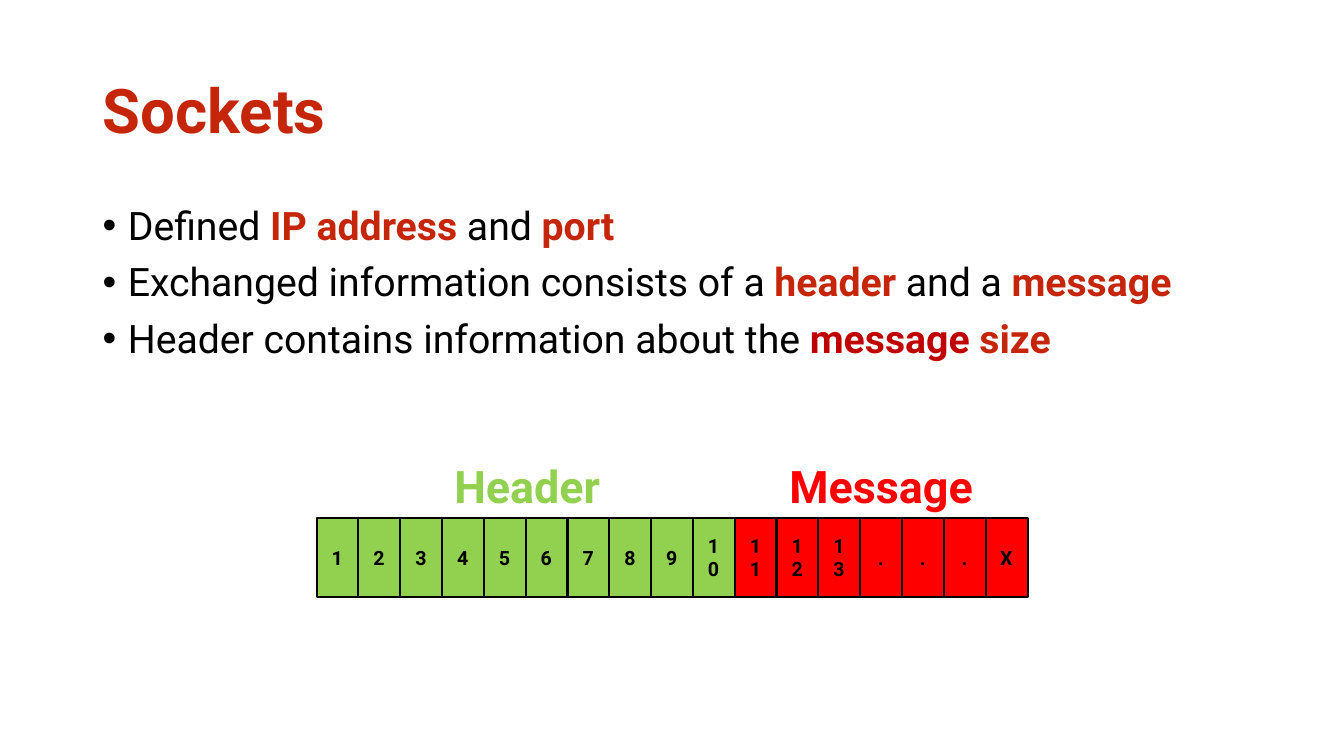
from dataclasses import dataclass
from typing import Any

from lxml.etree import SubElement
from pptx import Presentation
from pptx.dml.color import RGBColor
from pptx.enum.shapes import MSO_SHAPE
from pptx.enum.text import MSO_ANCHOR, MSO_AUTO_SIZE, PP_ALIGN
from pptx.oxml.ns import qn
from pptx.util import Inches, Pt

FONT = "Roboto"
BLACK, ACCENT, DARK_RED = "000000", "C52609", "C00000"
GREEN, RED = "92D050", "FF0000"
CELL_LEFT, CELL_TOP, CELL_W, CELL_H = 3.14, 5.14, 0.42, 0.78
CELL_PITCH = 0.4147


@dataclass
class Span:
    text: str
    color: str = BLACK
    bold: bool = False


@dataclass
class Section:
    name: str
    color: str
    cells: list[str]
    left: float
    width: float


BULLETS = [
    [Span("Defined "), Span("IP address ", ACCENT, True),
     Span("and "), Span("port", ACCENT, True)],
    [Span("Exchanged information consists of a "), Span("header ", ACCENT, True),
     Span("and a "), Span("message", ACCENT, True)],
    [Span("Header contains information about the "),
     Span("message ", DARK_RED, True), Span("size", ACCENT, True)],
]
SECTIONS = [
    Section("Header", GREEN, [str(n) for n in range(1, 11)], 3.15, 4.16),
    Section("Message", RED, ["11", "12", "13", ".", ".", ".", "X"], 7.29, 2.9),
]


def rgb(value: str) -> RGBColor:
    return RGBColor.from_string(value)


def apply(target: Any, values: dict[str, Any]) -> None:
    for name, value in values.items():
        setattr(target, name, value)


def add_span(p: Any, span: Span, size: float) -> None:
    r = p.add_run()
    r.text = span.text
    apply(r.font, {"name": FONT, "size": Pt(size), "bold": span.bold})
    r.font.color.rgb = rgb(span.color)


def add_label(shapes: Any, box: tuple[float, ...], span: Span, size: float,
              anchor: MSO_ANCHOR = MSO_ANCHOR.TOP) -> None:
    tf = shapes.add_textbox(*map(Inches, box)).text_frame
    apply(tf, {"word_wrap": True, "vertical_anchor": anchor,
               "auto_size": MSO_AUTO_SIZE.SHAPE_TO_FIT_TEXT})
    p = tf.paragraphs[0]
    p.alignment = PP_ALIGN.CENTER
    add_span(p, span, size)


def add_title(slide: Any, text: str) -> None:
    sp = slide.shapes.title
    apply(sp, {"left": Inches(0.92), "top": Inches(0.4),
               "width": Inches(11.5), "height": Inches(1.45)})
    tf = sp.text_frame
    apply(tf, {"word_wrap": True, "vertical_anchor": MSO_ANCHOR.MIDDLE,
               "auto_size": MSO_AUTO_SIZE.NONE})
    p = tf.paragraphs[0]
    apply(p, {"alignment": PP_ALIGN.LEFT, "line_spacing": 0.9})
    add_span(p, Span(text, ACCENT, True), 44)


def add_bullets(slide: Any, bullets: list[list[Span]]) -> None:
    tf = slide.shapes.add_textbox(*map(Inches, (0.92, 2, 11.5, 1.75))).text_frame
    tf.word_wrap = True
    for i, spans in enumerate(bullets):
        p = tf.add_paragraph() if i else tf.paragraphs[0]
        apply(p, {"line_spacing": 0.9, "space_before": Pt(10)})
        pPr = p._p.get_or_add_pPr()
        pPr.set("marL", str(Inches(0.25)))
        pPr.set("indent", str(Inches(-0.25)))
        SubElement(pPr, qn("a:buFont")).set("typeface", "Arial")
        SubElement(pPr, qn("a:buChar")).set("char", "•")
        for span in spans:
            add_span(p, span, 28)


def add_cell(slide: Any, index: int, text: str, color: str) -> None:
    left = CELL_LEFT + index * CELL_PITCH
    shapes = slide.shapes.add_group_shape().shapes
    box = (left, CELL_TOP, CELL_W, CELL_H)
    sp = shapes.add_shape(MSO_SHAPE.RECTANGLE, *map(Inches, box))
    sp.shadow.inherit = False
    sp.fill.solid()
    sp.fill.fore_color.rgb = rgb(color)
    sp.line.color.rgb = rgb(BLACK)
    sp.line.width = Pt(1.5)
    add_label(shapes, (left, 5.36, 0.41, 0.34), Span(text, BLACK, True), 14,
              MSO_ANCHOR.MIDDLE)


def main() -> None:
    prs = Presentation()
    apply(prs, {"slide_width": Inches(13.33), "slide_height": Inches(7.5)})
    slide = prs.slides.add_slide(prs.slide_layouts.get_by_name("Title Only"))
    add_title(slide, "Sockets")
    add_bullets(slide, BULLETS)
    index = 0
    for section in SECTIONS:
        for text in section.cells:
            add_cell(slide, index, text, section.color)
            index += 1
        add_label(slide.shapes, (section.left, 4.5, section.width, 0.64),
                  Span(section.name, section.color, True), 32)
    prs.save("out.pptx")


if __name__ == "__main__":
    main()
